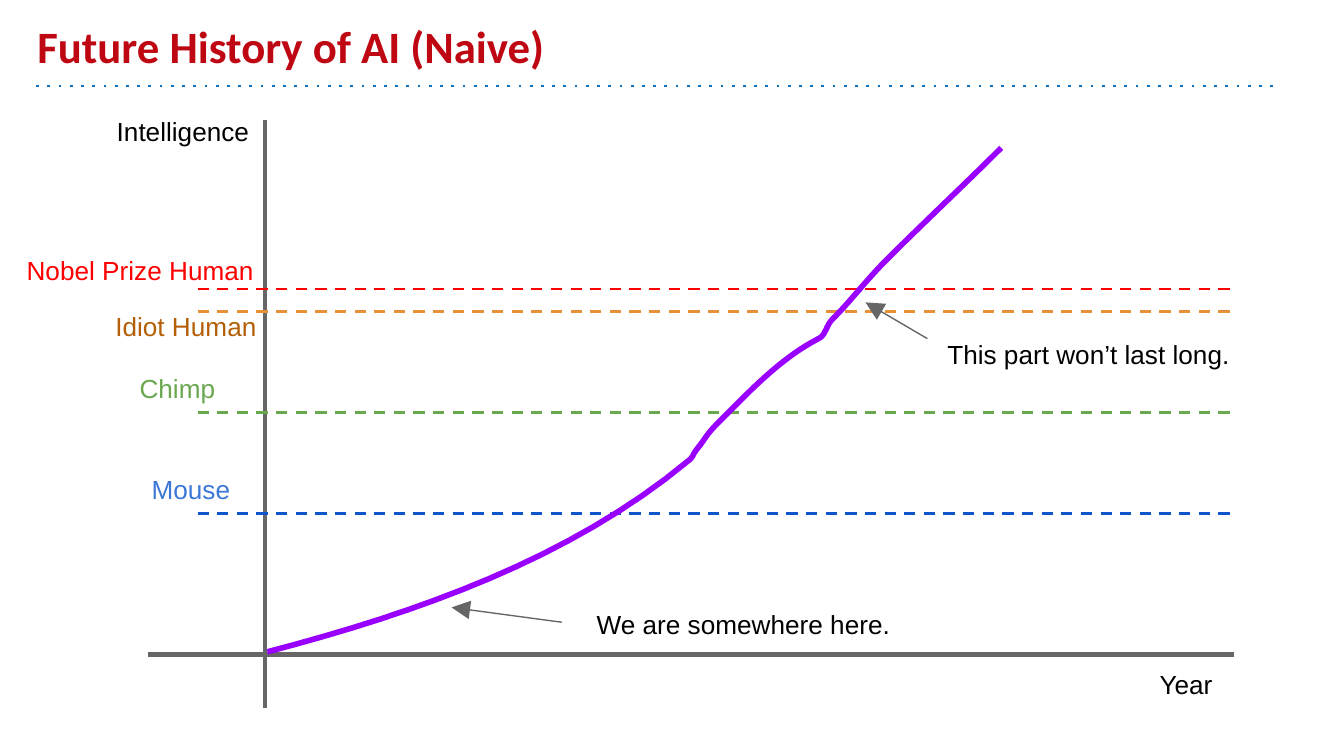
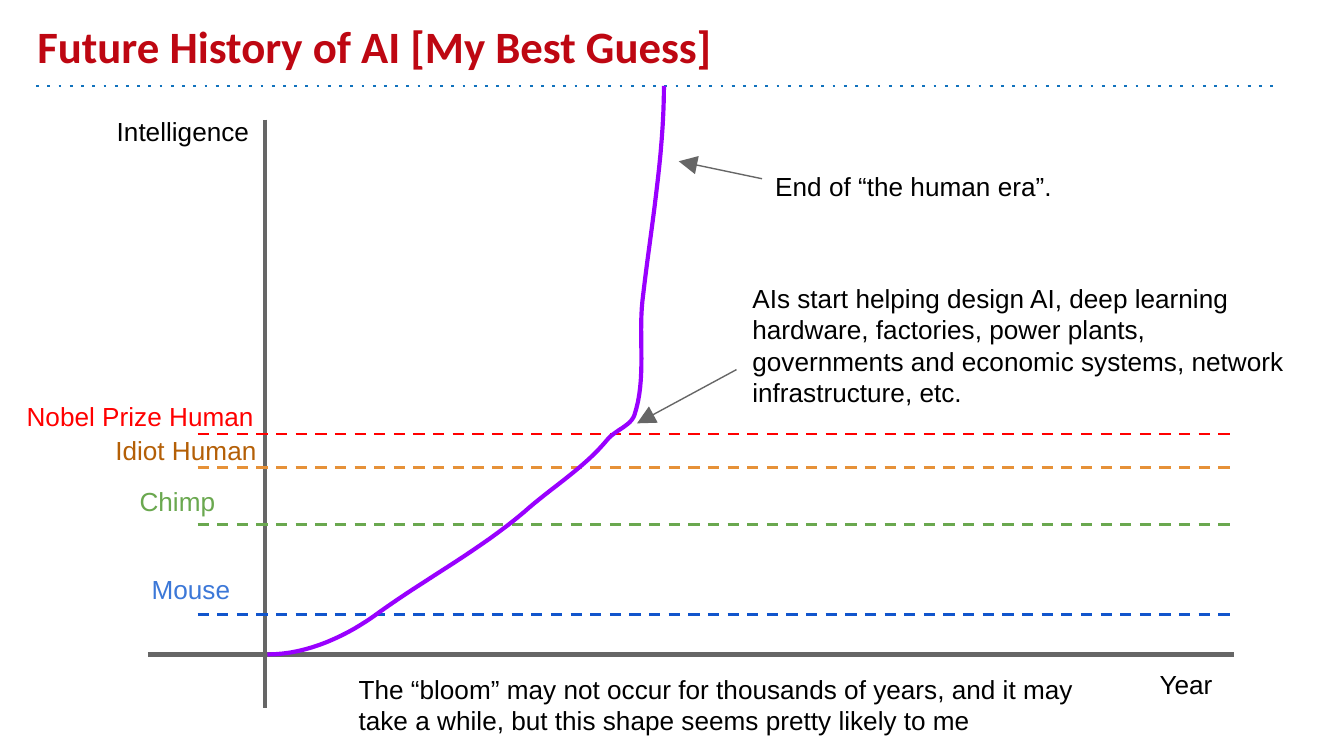
"""Build two slides that sketch the future growth of AI."""
from lxml import etree
from pptx import Presentation
from pptx import util as u
from pptx.dml.color import RGBColor
from pptx.enum import shapes, text
from pptx.oxml.ns import qn

RED, BLUE, GREY, BLACK, PURPLE = "BE0712", "1072BD", "666666", "000000", "9900FF"
STEPS = 16

LEVELS = [
    ("Mouse", 1.03, 0.9, "3C78D8", "1155CC"),
    ("Chimp", 0.94, 0.9, "6AA84F", "6AA84F"),
    ("Idiot Human", 0.76, 1.47, "B45F06", "E69138"),
    ("Nobel Prize Human", 0.1, 1.93, "FF0000", "FF0000"),
]
AXES = [((1.97, 0.89), (1.97, 5.27)), ((1.1, 4.87), (9.18, 4.87))]
NAMES = [("Year", (8.53, 4.87, 1.47, 0.47)), ("Intelligence", (0.77, 0.76, 1.47, 0.47))]

SLIDES = [
    {
        "title": "Future History of AI (Naive)",
        "lines": [3.82, 3.07, 2.32, 2.15],
        "labels": [3.42, 2.67, 2.21, 1.79],
        "width": 3,
        "curve": [
            (1.99, 4.85),
            (3.1, 4.56), (4.24, 4.16), (5.12, 3.43),
            (5.16, 3.4), (5.15, 3.39), (5.18, 3.35),
            (5.26, 3.25), (5.25, 3.24), (5.34, 3.15),
            (5.57, 2.92), (5.8, 2.67), (6.09, 2.52),
            (6.14, 2.5), (6.15, 2.42), (6.19, 2.38),
            (6.33, 2.24), (6.45, 2.08), (6.59, 1.94),
            (6.87, 1.66), (7.17, 1.38), (7.45, 1.1),
        ],
        "notes": [
            ("We are somewhere here.", (4.34, 4.43, 2.61, 0.54)),
            ("This part won’t last long.", (6.95, 2.42, 2.61, 0.54)),
        ],
        "arrows": [((4.18, 4.63), (3.36, 4.52)), ((6.9, 2.52), (6.44, 2.25))],
    },
    {
        "title": "Future History of AI [My Best Guess]",
        "lines": [4.57, 3.9, 3.48, 3.23],
        "labels": [4.17, 3.51, 3.13, 2.88],
        "width": 2.25,
        "curve": [
            (1.99, 4.87),
            (2.29, 4.87), (2.59, 4.73), (2.83, 4.55),
            (3.18, 4.3), (3.57, 4.09), (3.9, 3.81),
            (4.1, 3.63), (4.35, 3.48), (4.52, 3.27),
            (4.58, 3.2), (4.69, 3.17), (4.72, 3.09),
            (4.81, 2.82), (4.75, 2.52), (4.78, 2.24),
            (4.84, 1.71), (4.94, 1.17), (4.94, 0.64),
        ],
        "notes": [
            ("AIs start helping design AI, deep learning hardware, factories, "
             "power plants, governments and economic systems, network "
             "infrastructure, etc.", (5.5, 2, 4.26, 1.34)),
            ("End of “the human era”.", (5.67, 1.17, 4.26, 0.54)),
            ("The “bloom” may not occur for thousands of years, and it may "
             "take a while, but this shape seems pretty likely to me",
             (2.57, 4.91, 5.77, 0.63)),
        ],
        "arrows": [((5.48, 2.75), (4.74, 3.15)), ((5.67, 1.33), (5.05, 1.2))],
    },
]


def paint(line, color, width):
    line.color.rgb = RGBColor.from_string(color)
    line.width = u.Pt(width)


def rule(slide, start, end, color, width, dash=None, head=False):
    ends = [u.Inches(v) for v in (*start, *end)]
    link = slide.shapes.add_connector(shapes.MSO_CONNECTOR.STRAIGHT, *ends)
    paint(link.line, color, width)
    props = link._element.spPr
    ln = props.find(qn("a:ln"))
    if dash:
        etree.SubElement(ln, qn("a:prstDash")).set("val", dash)
    if head:
        tip = etree.SubElement(ln, qn("a:tailEnd"))
        for key, val in (("type", "triangle"), ("w", "lg"), ("len", "lg")):
            tip.set(key, val)
    etree.SubElement(props, qn("a:effectLst"))


def write(slide, words, box, color=BLACK, size=14, face="Arial", bold=False,
          anchor=text.MSO_ANCHOR.TOP):
    frame = slide.shapes.add_textbox(*[u.Inches(v) for v in box]).text_frame
    frame.word_wrap = True
    frame.vertical_anchor = anchor
    frame.margin_left = frame.margin_right = u.Inches(0.1)
    frame.margin_top = frame.margin_bottom = u.Inches(0.1)
    frame.text = words
    font = frame.paragraphs[0].runs[0].font
    font.name, font.size, font.bold = face, u.Pt(size), bold
    font.color.rgb = RGBColor.from_string(color)


def trace(knots):
    spots = [knots[0]]
    for i in range(0, len(knots) - 1, 3):
        quad = knots[i:i + 4]
        for step in range(1, STEPS + 1):
            t = step / STEPS
            parts = ((1 - t) ** 3, 3 * t * (1 - t) ** 2, 3 * t * t * (1 - t), t ** 3)
            spots.append(tuple(sum(w * p[k] for w, p in zip(parts, quad))
                               for k in (0, 1)))
    return [(u.Inches(x), u.Inches(y)) for x, y in spots]


def draw(slide, knots, width):
    first, *rest = trace(knots)
    pen = slide.shapes.build_freeform(*first)
    pen.add_line_segments(rest, close=False)
    curve = pen.convert_to_shape()
    curve.shadow.inherit = False
    curve.fill.background()
    paint(curve.line, PURPLE, width)


def build(slide, data):
    rule(slide, (0.27, 0.64), (9.5, 0.64), BLUE, 1.5, "dot")
    write(slide, data["title"], (0.18, 0.1, 9, 0.54), RED, 24, "Calibri", True,
          text.MSO_ANCHOR.BOTTOM)
    for start, end in AXES:
        rule(slide, start, end, GREY, 2.25)
    for level, y in zip(LEVELS, data["lines"]):
        rule(slide, (1.47, y), (9.17, y), level[4], 1.5, "dash")
    for (name, x, wide, color, _), y in zip(LEVELS, data["labels"]):
        write(slide, name, (x, y, wide, 0.54), color)
    draw(slide, data["curve"], data["width"])
    for words, box in NAMES + data["notes"]:
        write(slide, words, box)
    for start, end in data["arrows"]:
        rule(slide, start, end, GREY, 0.75, head=True)


def main():
    deck = Presentation()
    deck.slide_width = u.Inches(10)
    deck.slide_height = deck.slide_width * 9 // 16
    for data in SLIDES:
        build(deck.slides.add_slide(deck.slide_layouts[6]), data)
    deck.save("out.pptx")


if __name__ == "__main__":
    main()
